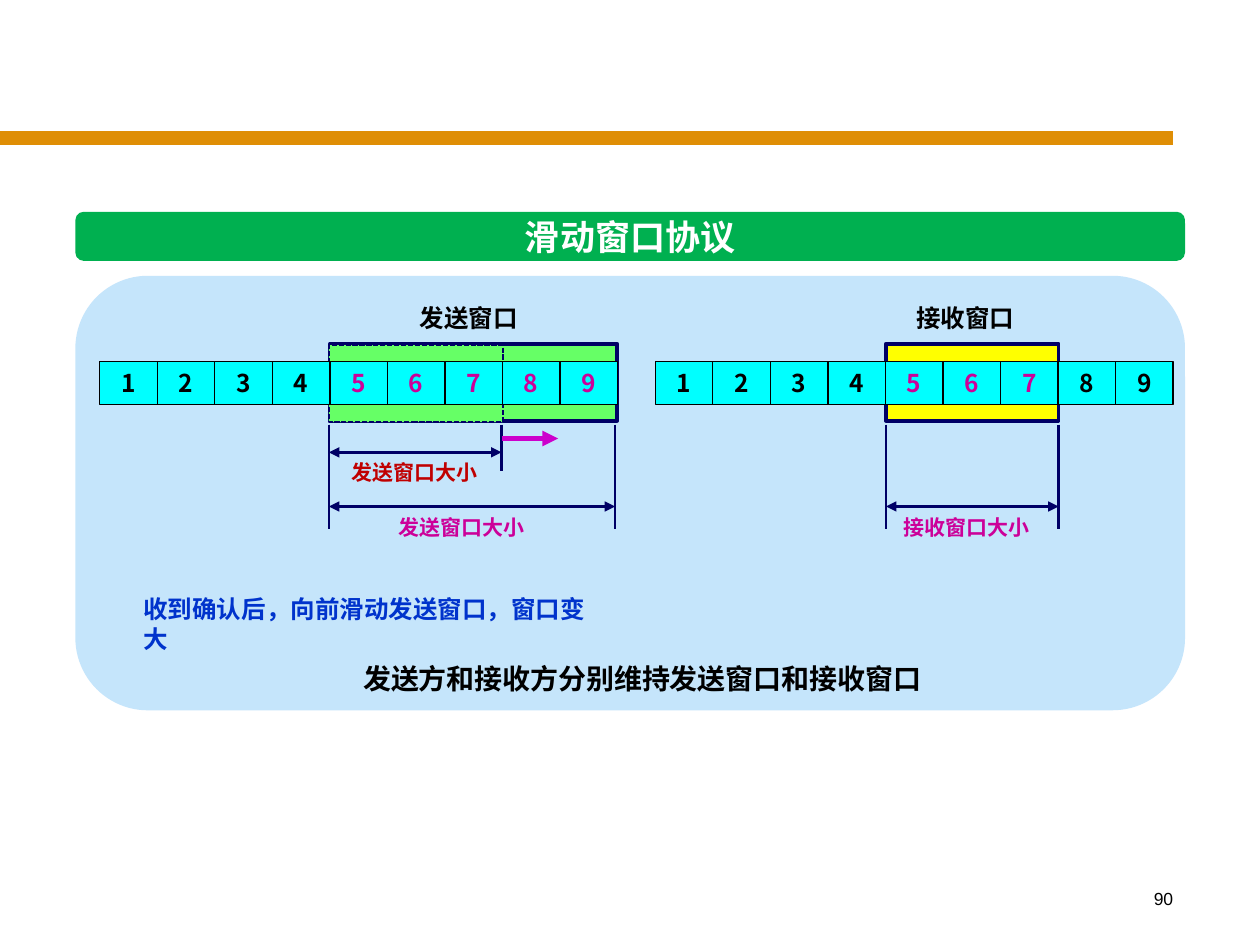
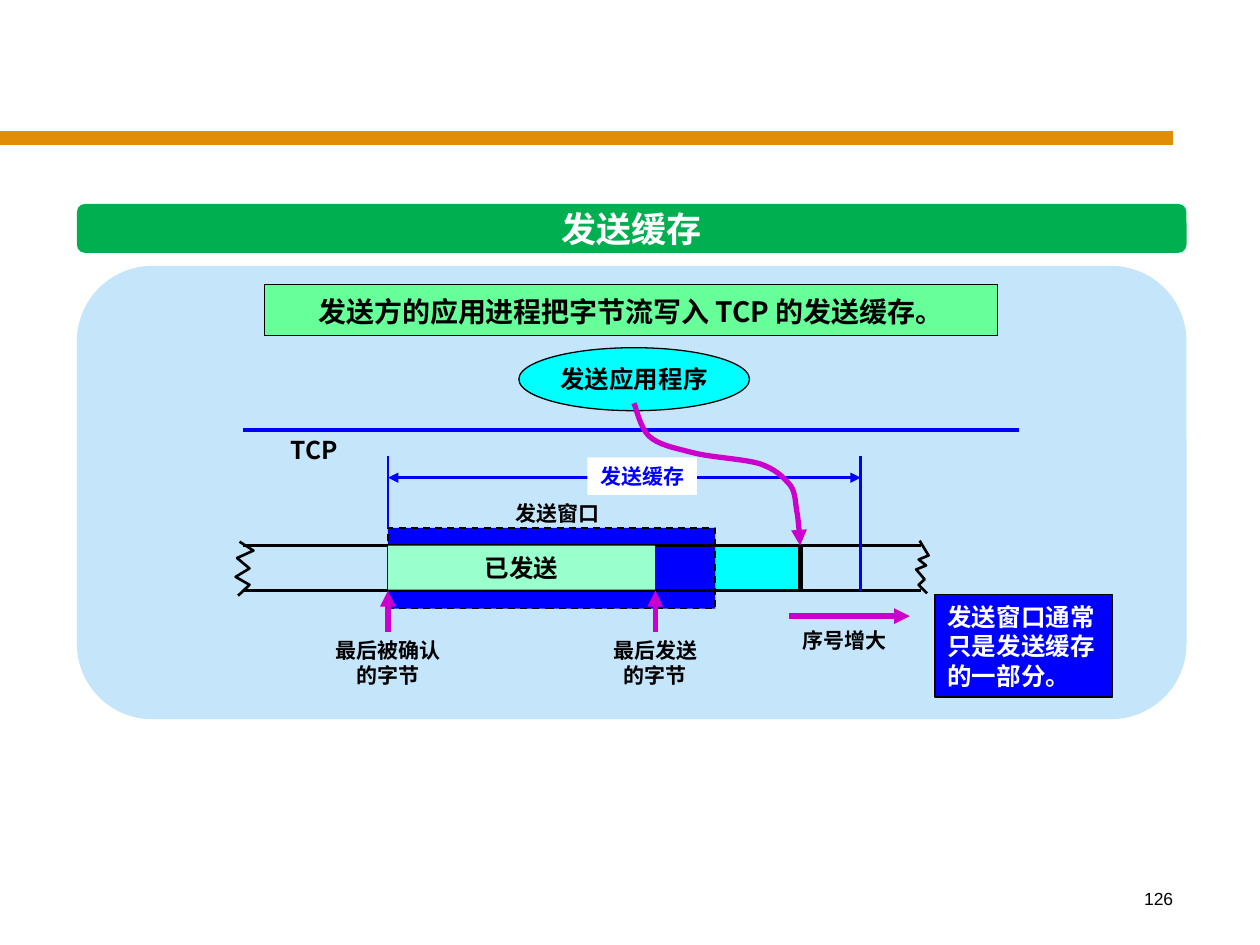
from dataclasses import dataclass
from itertools import pairwise
from typing import Optional

from lxml.etree import SubElement as Sub
from pptx import Presentation
from pptx.dml.color import RGBColor as Rgb
from pptx.enum.dml import MSO_LINE as Dash
from pptx.enum.shapes import MSO_CONNECTOR as Link, MSO_SHAPE as Kind
from pptx.enum.text import MSO_ANCHOR as Anchor, PP_ALIGN as Align
from pptx.oxml.ns import qn
from pptx.util import Cm, Pt

BLACK = Rgb(0x00, 0x00, 0x00)
WHITE = Rgb(0xFF, 0xFF, 0xFF)
ORANGE = Rgb(0xDF, 0x8E, 0x05)
GREEN = Rgb(0x00, 0xB0, 0x50)
PALE = Rgb(0xC5, 0xE5, 0xFB)
NAVY = Rgb(0x00, 0x00, 0x66)
BLUE = Rgb(0x00, 0x00, 0xFF)
ROYAL = Rgb(0x00, 0x33, 0xCC)
CYAN = Rgb(0x00, 0xFF, 0xFF)
YELLOW = Rgb(0xFF, 0xFF, 0x00)
LIME = Rgb(0x66, 0xFF, 0x66)
MINT = Rgb(0x66, 0xFF, 0x99)
SOFT = Rgb(0x99, 0xFF, 0xCC)
PINK = Rgb(0xCC, 0x00, 0x99)
PURPLE = Rgb(0xCC, 0x00, 0xCC)
RED = Rgb(0xC0, 0x00, 0x00)

SANS = "Noto Sans CJK SC"
PT_CM = 2.54 / 72


@dataclass
class Label:
    """Text centred on mid, with its box starting at top."""
    text: str
    mid: float
    top: float
    size: int = 12
    color: Rgb = BLACK


@dataclass
class Box:
    x: float
    y: float
    w: float
    h: float
    fill: Rgb
    edge: Optional[Rgb] = None
    width: float = 0.75
    dash: Optional[Dash] = None
    kind: Kind = Kind.RECTANGLE
    round: Optional[float] = None
    text: str = ""
    size: int = 14
    color: Rgb = BLACK
    align: Align = Align.CENTER
    wrap: bool = False
    space: Optional[float] = None


@dataclass
class Line:
    x1: float
    y1: float
    x2: float
    y2: float
    color: Rgb = BLACK
    width: float = 1.5
    ends: str = ""


@dataclass
class Trace:
    """Open outline; a curved one takes three points for each Bezier piece."""
    points: list
    color: Rgb = BLACK
    width: float = 1.5
    curved: bool = False
    ends: str = ""


@dataclass
class Row:
    """Nine numbered cells; those from 5 up to last lie in the window."""
    x: float
    last: int


def write(frame, text: str, size: int, color: Rgb, align: Align = Align.CENTER,
          wrap: bool = False, font: str = SANS, bold: bool = True,
          space: Optional[float] = None) -> None:
    frame.text = text
    frame.word_wrap = wrap
    for para in frame.paragraphs:
        para.alignment = align
        if space:
            para.line_spacing = space
        for run in para.runs:
            run.font.size = Pt(size)
            run.font.bold = bold
            run.font.name = font
            run.font.color.rgb = color
            Sub(run.font._element, qn("a:ea"), typeface=font)


def add_ends(shape, ends: str) -> None:
    """Put arrowheads on the ends named: head, tail or both."""
    outline = shape.element.spPr.find(qn("a:ln"))
    for end in ends.split():
        Sub(outline, qn(f"a:{end}End"), type="triangle")


def draw_label(slide, label: Label) -> None:
    rows = label.text.split("\n")
    width = max(map(len, rows)) * label.size * PT_CM + 0.51
    height = len(rows) * label.size * 1.2 * PT_CM + 0.25
    area = slide.shapes.add_textbox(Cm(label.mid - width / 2), Cm(label.top),
                                    Cm(width), Cm(height))
    write(area.text_frame, label.text, label.size, label.color)


def draw_box(slide, box: Box) -> None:
    shape = slide.shapes.add_shape(box.kind, Cm(box.x), Cm(box.y),
                                   Cm(box.w), Cm(box.h))
    shape.shadow.inherit = False
    shape.fill.solid()
    shape.fill.fore_color.rgb = box.fill
    if box.round is not None:
        shape.adjustments[0] = box.round
    if box.edge is None:
        shape.line.fill.background()
    else:
        shape.line.color.rgb = box.edge
        shape.line.width = Pt(box.width)
        if box.dash:
            shape.line.dash_style = box.dash
    if box.text:
        write(shape.text_frame, box.text, box.size, box.color, box.align,
              box.wrap, space=box.space)


def draw_line(slide, line: Line) -> None:
    link = slide.shapes.add_connector(Link.STRAIGHT, Cm(line.x1), Cm(line.y1),
                                      Cm(line.x2), Cm(line.y2))
    link.line.color.rgb = line.color
    link.line.width = Pt(line.width)
    add_ends(link, line.ends)
    Sub(link.element.spPr, qn("a:effectLst"))


def bend(shape) -> None:
    """Turn every three straight pieces of the outline into one Bezier curve."""
    steps = list(shape.element.iter(qn("a:lnTo")))
    for trio in zip(*[iter(steps)] * 3):
        curve = Sub(trio[0].getparent(), qn("a:cubicBezTo"))
        for step in trio:
            curve.append(step[0])
            step.getparent().remove(step)


def draw_trace(slide, trace: Trace) -> None:
    start, *rest = [(Cm(x), Cm(y)) for x, y in trace.points]
    maker = slide.shapes.build_freeform(*start)
    maker.add_line_segments(rest, close=False)
    shape = maker.convert_to_shape()
    if trace.curved:
        bend(shape)
    shape.shadow.inherit = False
    shape.fill.background()
    shape.line.color.rgb = trace.color
    shape.line.width = Pt(trace.width)
    add_ends(shape, trace.ends)


def draw_row(slide, row: Row) -> None:
    top, high, step = 7.29, 0.86, 1.16
    draw_box(slide, Box(row.x, top, 9 * step, high, CYAN, BLACK))
    for num in range(1, 10):
        left = row.x + (num - 1) * step
        cell = slide.shapes.add_textbox(Cm(left), Cm(top), Cm(step), Cm(high))
        cell.text_frame.vertical_anchor = Anchor.MIDDLE
        write(cell.text_frame, str(num), 14,
              PINK if 5 <= num <= row.last else BLACK)
        if num > 1:
            draw_line(slide, Line(left, top, left, top + high, width=0.75))


DRAW = {Label: draw_label, Box: draw_box, Line: draw_line,
        Trace: draw_trace, Row: draw_row}


def draw(slide, *items) -> None:
    for item in items:
        DRAW[type(item)](slide, item)


def add_frame(deck, title: str, page: int, left: float, top: float,
              body: float, depth: float):
    """Add a slide with its band, page number, title bar and panel."""
    slide = deck.slides.add_slide(deck.slide_layouts[6])
    draw(slide, Line(0, 2.79, 23.65, 2.79, ORANGE, 8))
    number = slide.shapes.add_textbox(Cm(18.62), Cm(17.78), Cm(5.28), Cm(1.27))
    write(number.text_frame, str(page), 10, BLACK, Align.RIGHT, True,
          "Arial", False)
    draw(slide,
         Box(left, top, 22.37, 0.99, GREEN, kind=Kind.ROUNDED_RECTANGLE,
             round=0.17, text=title, size=20, color=WHITE),
         Box(left, body, 22.37, depth, PALE, kind=Kind.ROUNDED_RECTANGLE))
    return slide


def add_span(slide, left: float, right: float, y: float, low: float) -> None:
    """Measure a window: two uprights and a double arrow."""
    draw(slide,
         *(Line(x, 8.56, x, low, NAVY) for x in (left, right)),
         Line(left, y, right, y, NAVY, ends="head tail"))


def build_windows(deck) -> None:
    slide = add_frame(deck, "滑动窗口协议", 90, 1.52, 4.27, 5.56, 8.76)
    add_span(slide, 6.63, 12.4, 10.21, 10.67)
    add_span(slide, 6.63, 10.11, 9.12, 9.5)
    add_span(slide, 17.86, 21.34, 10.21, 10.67)
    draw(slide,
         Box(6.65, 6.93, 5.79, 1.55, LIME, NAVY, 2.25),
         Box(6.63, 6.96, 3.51, 1.55, LIME, NAVY, 1, Dash.SQUARE_DOT),
         Box(17.86, 6.93, 3.48, 1.55, YELLOW, NAVY, 2.25),
         Row(2.01, 9),
         Row(13.21, 7),
         Line(10.11, 8.84, 11.25, 8.84, PURPLE, 3, "tail"),
         Label("发送窗口", 9.45, 5.99, 14),
         Label("接收窗口", 19.46, 5.99, 14),
         Label("发送窗口大小", 8.36, 9.14, color=RED),
         Label("发送窗口大小", 9.3, 10.24, color=PINK),
         Label("接收窗口大小", 19.48, 10.24, color=PINK),
         Label("发送方和接收方分别维持发送窗口和接收窗口", 12.95, 13.21, 16))
    note = slide.shapes.add_textbox(Cm(2.64), Cm(11.86), Cm(9.7), Cm(1.45))
    write(note.text_frame, "收到确认后，向前滑动发送窗口，窗口变大", 14, ROYAL,
          Align.LEFT, True)


def build_buffer(deck) -> None:
    slide = add_frame(deck, "发送缓存", 126, 1.55, 4.11, 5.36, 9.14)
    acked, sent, filled, limit = 7.82, 13.21, 16.13, 17.35
    top, base = 11, 11.91
    route = [(12.78, 8.13),
             (12.83, 8.23), (12.9, 8.61), (13.08, 8.79),
             (13.28, 8.97), (13.56, 9.02), (13.94, 9.12),
             (14.3, 9.22), (14.99, 9.25), (15.32, 9.35),
             (15.65, 9.47), (15.77, 9.6), (15.93, 9.78),
             (16.05, 9.93), (16.03, 10.19), (16.08, 10.39),
             (16.1, 10.59), (filled, 10.87), (filled, top)]
    tear_left = [(4.83, 10.92), (5.11, 11.1), (4.78, 11.25), (5.03, 11.46),
                 (4.75, 11.63), (5.03, 11.79), (4.8, 12.01)]
    tear_right = [(18.54, 10.9), (18.72, 11.2), (18.52, 11.28), (18.67, 11.4),
                  (18.47, 11.48), (18.64, 11.68), (18.52, 11.79),
                  (18.69, 11.96)]
    draw(slide,
         Box(5.33, 5.74, 14.78, 1.02, MINT, BLACK, size=16, wrap=True,
             space=1.1, text="发送方的应用进程把字节流写入 TCP 的发送缓存。"),
         Box(18.85, 11.99, 3.58, 2.06, BLUE, BLACK, color=WHITE, wrap=True,
             align=Align.LEFT, text="发送窗口通常只是发送缓存的一部分。"),
         Line(acked, 9.63, limit, 9.63, BLUE, ends="head tail"),
         Box(sent, top, filled - sent, 0.89, CYAN),
         Box(10.46, 7.01, 4.65, 1.27, CYAN, BLACK, kind=Kind.OVAL,
             text="发送应用程序"),
         Line(4.9, 8.67, 20.55, 8.67, BLUE, 2.25),
         Box(acked, 10.64, 6.6, 1.63, BLUE, BLACK, 1, Dash.DASH),
         *(Line(4.9, y, 18.57, y) for y in (top, base)),
         *(Line(x, top, x, base, width=0.75) for x in (acked, sent)),
         Line(filled, top, filled, base, width=3),
         Box(11.84, 9.22, 2.21, 0.76, WHITE, text="发送缓存", size=12,
             color=BLUE),
         Box(acked, top, sent - acked, 0.89, SOFT, text="已发送"),
         *(Line(x, 12.75, x, base, PURPLE, 3, "tail") for x in (acked, sent)),
         Line(acked, 9.19, acked, 10.64, BLUE),
         Line(limit, 9.19, limit, base, BLUE),
         Trace(route, PURPLE, 3, True, "tail"),
         Trace(tear_left),
         Trace(tear_right),
         Line(15.9, 12.42, 18.34, 12.42, PURPLE, 3, "tail"),
         Label("TCP", 6.34, 8.64, 14),
         Label("发送窗口", 11.24, 9.96),
         Label("最后被确认\n的字节", acked, 12.73),
         Label("最后发送\n的字节", sent, 12.73),
         Label("序号增大", 17.03, 12.52))


def main() -> None:
    deck = Presentation()
    deck.slide_width, deck.slide_height = Cm(25.4), Cm(19.05)
    build_windows(deck)
    build_buffer(deck)
    deck.save("out.pptx")


if __name__ == "__main__":
    main()
